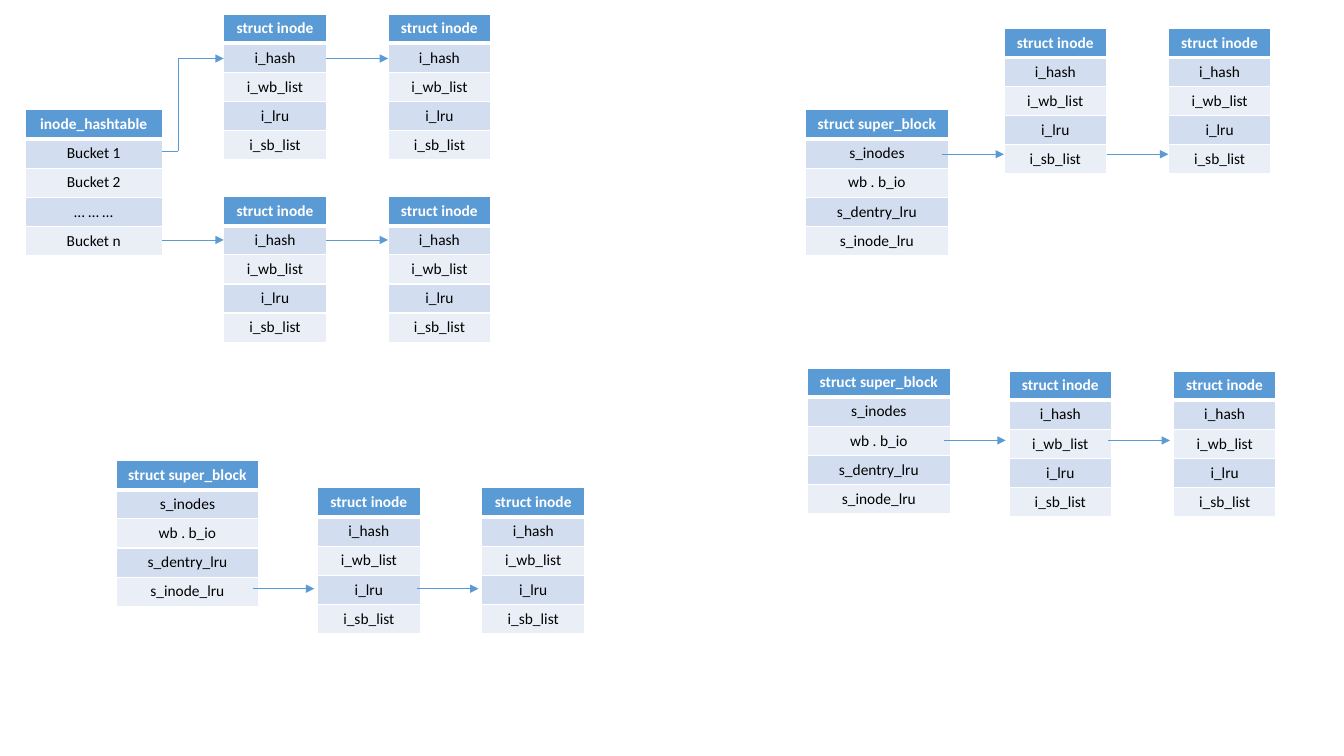
from itertools import pairwise

from lxml.etree import SubElement
from pptx import Presentation
from pptx.dml.color import RGBColor
from pptx.enum.shapes import MSO_CONNECTOR as Connector
from pptx.enum.text import MSO_ANCHOR as Anchor, PP_ALIGN as Align
from pptx.oxml.ns import qn
from pptx.util import Pt

BLUE, WHITE, BLACK = "5B9BD5", "FFFFFF", "000000"
BANDS = ["D2DEEF", "EAEFF7"]
ROW_HEIGHT = 20.45
INODE_WIDTH, ARROW_LENGTH = 73.4, 44
INODE_STEP = INODE_WIDTH + ARROW_LENGTH

INODE = ["struct inode", "i_hash", "i_wb_list", "i_lru", "i_sb_list"]
SUPER_BLOCK = ["struct super_block", "s_inodes", "wb . b_io", "s_dentry_lru", "s_inode_lru"]
HASHTABLE = ["inode_hashtable", "Bucket 1", "Bucket 2", "… … …", "Bucket n"]


def color(value):
    return RGBColor.from_string(value)


def set_format(target, values):
    for name, value in values.items():
        setattr(target, name, value)


def add_borders(cell, widths):
    properties = cell._tc.get_or_add_tcPr()
    for side, width in widths.items():
        line = SubElement(properties, qn(f"a:ln{side}"), w=str(Pt(width)))
        fill = SubElement(line, qn("a:solidFill"))
        SubElement(fill, qn("a:srgbClr"), val=WHITE)


def add_struct(slide, left, top, width, names):
    frame = slide.shapes.add_table(
        len(names), 1, Pt(left), Pt(top), Pt(width), Pt(ROW_HEIGHT * len(names)))
    for index, name in enumerate(names):
        header = index == 0
        cell = frame.table.cell(index, 0)
        add_borders(cell, {"L": 1, "R": 1, "T": 3 if index == 1 else 1, "B": 3 if header else 1})
        cell.fill.solid()
        cell.fill.fore_color.rgb = color(BLUE if header else BANDS[(index - 1) % 2])
        cell.vertical_anchor = Anchor.TOP
        para = cell.text_frame.paragraphs[0]
        para.alignment = Align.CENTER
        span = para.add_run()
        span.text = name
        set_format(span.font, {"name": "Calibri", "size": Pt(11), "bold": header})
        span.font.color.rgb = color(WHITE if header else BLACK)


def add_arrow(slide, points):
    segments = list(pairwise(points))
    for index, (start, end) in enumerate(segments):
        line = slide.shapes.add_connector(
            Connector.STRAIGHT, *[Pt(value) for value in (*start, *end)])
        line.line.color.rgb = color(BLUE)
        line.line.width = Pt(0.5)
        if index == len(segments) - 1:
            SubElement(line.line._get_or_add_ln(), qn("a:tailEnd"), type="triangle")
        SubElement(line._element.spPr, qn("a:effectLst"))


def add_inode_chain(slide, left, top, link_y, nudge=0, entry=None):
    for index in range(2):
        inode_left = left + index * INODE_STEP
        add_struct(slide, inode_left, top, INODE_WIDTH, INODE)
        tip = inode_left + nudge
        points = [(tip - ARROW_LENGTH, link_y), (tip, link_y)]
        if entry and index == 0:
            start_x, start_y, bend_x = entry
            points = [(start_x, start_y), (bend_x, start_y), (bend_x, link_y), (tip, link_y)]
        add_arrow(slide, points)


def add_hashtable_region(slide, left, top):
    add_struct(slide, left, top, 97.9, HASHTABLE)
    inode_left = left + 141.8
    add_inode_chain(slide, inode_left, top - 68.4, top - 36.7,
                    entry=(left + 97.9, top + 29.5, left + 109.4))
    add_inode_chain(slide, inode_left, top + 61.9, top + 92.9)


def add_super_block_region(slide, left, top, chain_x, chain_y, link_y, nudge):
    add_struct(slide, left, top, 102.2, SUPER_BLOCK)
    add_inode_chain(slide, left + chain_x, top + chain_y, top + link_y, nudge)


def main():
    deck = Presentation()
    set_format(deck, {"slide_width": Pt(960), "slide_height": Pt(540)})
    slide = deck.slides.add_slide(deck.slide_layouts[6])
    add_hashtable_region(slide, 18, 78.5)
    add_super_block_region(slide, 575.3, 78.5, 141.8, -58.3, 31.7, 0)
    add_super_block_region(slide, 576.7, 262.8, 144, 2.2, 51.8, -2.4)
    add_super_block_region(slide, 82.8, 329, 144, 19.5, 91.5, -2.4)
    deck.save("out.pptx")


if __name__ == "__main__":
    main()
